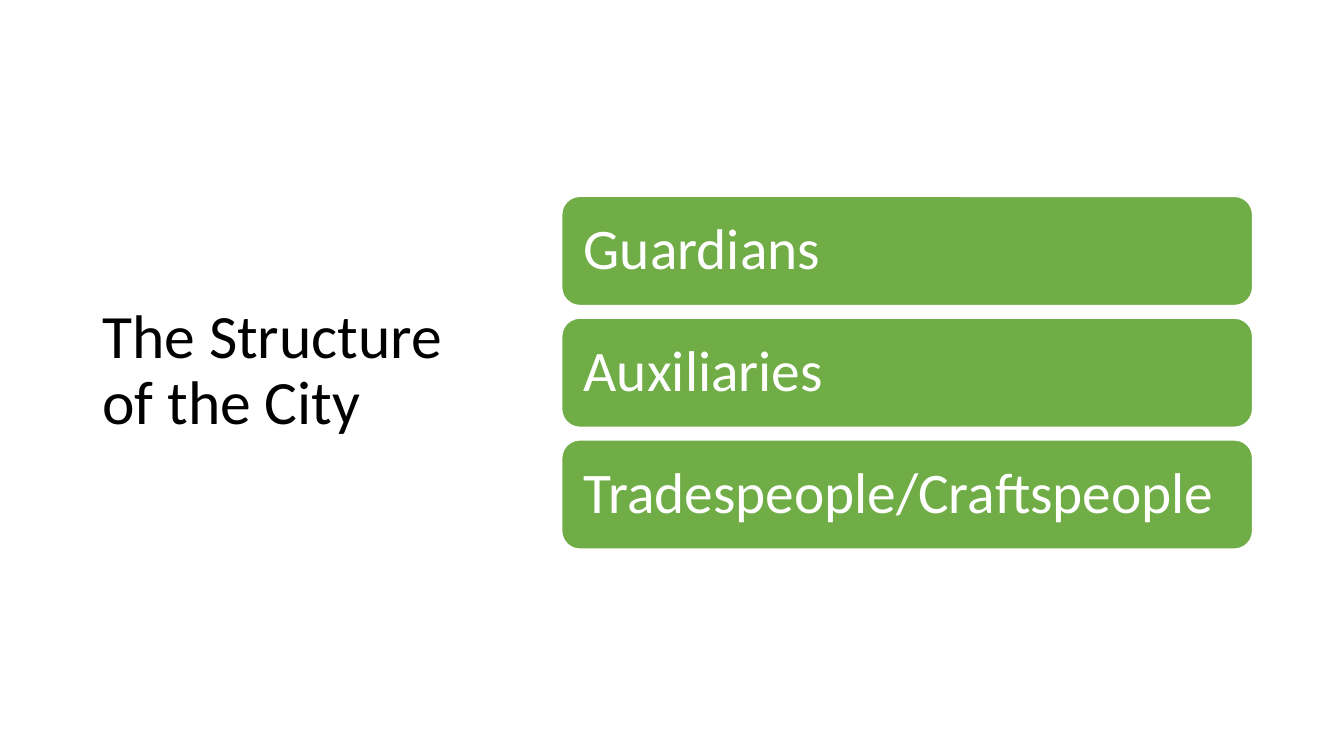
from dataclasses import dataclass

from pptx import Presentation
from pptx.dml.color import RGBColor as RGB
from pptx.enum.shapes import MSO_SHAPE as SHAPE
from pptx.enum.text import MSO_ANCHOR as ANCHOR, PP_ALIGN as ALIGN
from pptx.util import Pt

PX = 9525


@dataclass(frozen=True)
class Theme:
    font: str = "Calibri"
    title_size: int = 44
    bar_size: int = 41
    title_color: RGB = RGB(0x00, 0x00, 0x00)
    bar_color: RGB = RGB(0x70, 0xAD, 0x47)
    light: RGB = RGB(0xFF, 0xFF, 0xFF)
    line_spacing: float = 0.9


THEME = Theme()
CLASSES = ["Guardians", "Auxiliaries", "Tradespeople/Craftspeople"]
BAR_LEFT, BAR_TOP, BAR_WIDTH, BAR_HEIGHT = 535, 187, 658, 104
BAR_GAP = 12
BAR_INSET = 16


def px(*lengths):
    return [n * PX for n in lengths]


def set_text(sp, text, size, color):
    tf = sp.text_frame
    tf.word_wrap = True
    tf.vertical_anchor = ANCHOR.MIDDLE
    p = tf.paragraphs[0]
    p.text = text
    p.alignment = ALIGN.LEFT
    p.line_spacing = THEME.line_spacing
    p.font.name = THEME.font
    p.font.size = Pt(size)
    p.font.color.rgb = color
    return tf


def add_title(s, text, box):
    sp = s.shapes.add_textbox(*px(*box))
    set_text(sp, text, THEME.title_size, THEME.title_color)


def add_bar(s, text, top):
    box = px(BAR_LEFT, top, BAR_WIDTH, BAR_HEIGHT)
    sp = s.shapes.add_shape(SHAPE.ROUNDED_RECTANGLE, *box)
    sp.shadow.inherit = False
    sp.fill.solid()
    sp.fill.fore_color.rgb = THEME.bar_color
    sp.line.color.rgb = THEME.light
    sp.line.width = Pt(1)
    tf = set_text(sp, text, THEME.bar_size, THEME.light)
    tf.margin_left = tf.margin_right = BAR_INSET * PX
    tf.margin_top = tf.margin_bottom = BAR_INSET * PX


def main():
    prs = Presentation()
    prs.slide_width, prs.slide_height = px(1280, 720)
    s = prs.slides.add_slide(prs.slide_layouts[6])
    add_title(s, "The Structure of the City", (88, 65, 354, 578))
    for i, name in enumerate(CLASSES):
        add_bar(s, name, BAR_TOP + i * (BAR_HEIGHT + BAR_GAP))
    prs.save("out.pptx")


if __name__ == "__main__":
    main()
